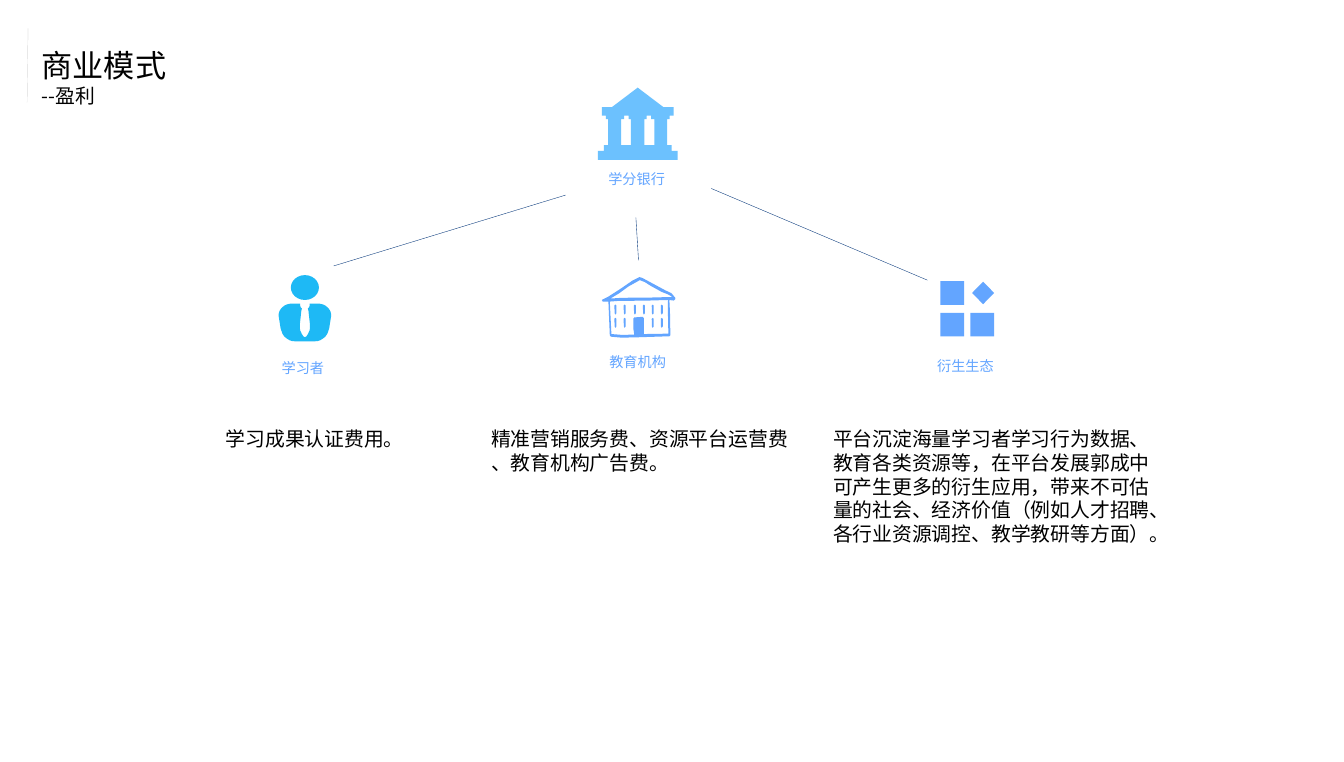
from dataclasses import dataclass

from lxml.etree import SubElement
from pptx import Presentation
from pptx.dml.color import RGBColor
from pptx.enum.shapes import MSO_CONNECTOR, MSO_SHAPE
from pptx.enum.text import MSO_AUTO_SIZE, PP_ALIGN
from pptx.oxml.ns import qn
from pptx.util import Cm, Pt


@dataclass(frozen=True)
class Theme:
    ink: str = "000000"
    label: str = "63A5FF"
    bank: str = "6CC1FE"
    learner: str = "1EB9F5"
    branch: str = "003378"
    rule: str = "BFBFBF"
    body_font: str = "Noto Sans CJK SC"
    label_font: str = "Arial"
    title_size: int = 44
    body_size: int = 28
    label_size: int = 20


THEME = Theme()

BANK_HALF = [(0, 0), (128, 97), (179, 97), (179, 140), (159, 140), (159, 157),
             (147, 157), (147, 287), (169, 287), (169, 315), (199, 315), (199, 361)]
BANK_GAP = [(34, 157), (45, 157), (45, 140), (67, 140),
            (67, 157), (83, 157), (83, 287), (34, 287)]
LEARNER_HALF = [(0, 168), (8, 163), (15, 152), (23, 135), (25, 124), (25, 102),
                (23, 84), (18, 38), (15, 25), (20, 20), (23, 13), (24, 0),
                (64, 0), (76, 1), (89, 4), (102, 10), (112, 18), (119, 25),
                (127, 38), (131, 53), (131, 61), (121, 124), (112, 150),
                (102, 165), (89, 175), (76, 183), (64, 187), (51, 188)]
SCHOOL_OUTLINE = [(190, 0), (203, 3), (320, 66), (350, 80), (370, 104), (368, 112),
                  (361, 117), (340, 114), (343, 175), (345, 290), (340, 295),
                  (185, 300), (102, 302), (48, 297), (43, 290), (36, 122),
                  (8, 122), (3, 114), (33, 99), (97, 58), (155, 18)]
SCHOOL_ROOF = [(193, 15), (137, 46), (89, 81), (46, 107), (91, 104), (170, 102),
               (244, 102), (356, 99), (333, 86), (302, 74), (246, 43), (218, 25)]
SCHOOL_WALL = [(333, 114), (234, 117), (81, 119), (43, 122), (51, 284), (102, 288),
               (165, 287), (160, 254), (160, 208), (165, 201), (208, 198),
               (213, 206), (213, 284), (335, 282), (333, 188)]
SCHOOL_WINDOWS = [(137, (71, 117, 168, 213, 257, 302)), (203, (71, 117, 257, 302))]


def paint(shape, color):
    shape.shadow.inherit = False
    shape.fill.solid()
    shape.fill.fore_color.rgb = RGBColor.from_string(color)
    shape.line.fill.background()


def mirror(points):
    return [(-x, y) for x, y in reversed(points)]


def window(center, top):
    return [(center - 5, top + 5), (center, top), (center + 5, top + 5),
            (center + 5, top + 43), (center, top + 50), (center - 4, top + 43)]


def add_outline(slide, left, top, contours, color):
    builder = slide.shapes.build_freeform(*contours[0][0], scale=Cm(0.01))
    builder.add_line_segments(contours[0][1:])
    for contour in contours[1:]:
        builder.move_to(*contour[0])
        builder.add_line_segments(contour[1:])
    paint(builder.convert_to_shape(Cm(left), Cm(top)), color)


def add_preset(slide, kind, left, top, width, height, color):
    paint(slide.shapes.add_shape(kind, Cm(left), Cm(top), Cm(width), Cm(height)), color)


def add_text(slide, left, top, width, height, lines, font, color,
             align=PP_ALIGN.LEFT, wrap=True):
    frame = slide.shapes.add_textbox(Cm(left), Cm(top), Cm(width), Cm(height)).text_frame
    frame.word_wrap = wrap
    frame.auto_size = MSO_AUTO_SIZE.SHAPE_TO_FIT_TEXT
    for index, (words, size) in enumerate(lines):
        paragraph = frame.add_paragraph() if index else frame.paragraphs[0]
        paragraph.alignment = align
        run = paragraph.add_run()
        run.text = words
        run.font.size = Pt(size)
        run.font.color.rgb = RGBColor.from_string(color)
        run.font.name = font
        if font == THEME.body_font:
            SubElement(run.font._element, qn("a:ea"), typeface=font)


def add_body(slide, left, width, height, lines, wrap):
    add_text(slide, left, 21.16, width, height,
             [(line, THEME.body_size) for line in lines],
             THEME.body_font, THEME.ink, wrap=wrap)


def add_label(slide, center, top, words):
    width = 4.4
    add_text(slide, center - width / 2, top, width, 1.12, [(words, THEME.label_size)],
             THEME.label_font, THEME.label, PP_ALIGN.CENTER)


def add_line(slide, start, end, color, weight):
    line = slide.shapes.add_connector(MSO_CONNECTOR.STRAIGHT,
                                      *(Cm(value) for value in start + end))
    line.line.color.rgb = RGBColor.from_string(color)
    line.line.width = Pt(weight)
    SubElement(line._element.spPr, qn("a:effectLst"))


def add_bank(slide):
    add_outline(slide, 31.79, 4.37,
                [BANK_HALF + mirror(BANK_HALF), BANK_GAP, mirror(BANK_GAP)], THEME.bank)


def add_learner(slide):
    add_outline(slide, 15.2, 15.14, [LEARNER_HALF + mirror(LEARNER_HALF)], THEME.learner)
    add_preset(slide, MSO_SHAPE.OVAL, 14.5, 13.72, 1.4, 1.24, THEME.learner)


def add_school(slide):
    windows = [window(center, top) for top, centers in SCHOOL_WINDOWS for center in centers]
    add_outline(slide, 29.97, 13.82,
                [SCHOOL_OUTLINE, SCHOOL_ROOF, SCHOOL_WALL, *windows], THEME.label)


def add_ecosystem(slide):
    for left, top in ((46.88, 14.02), (46.88, 15.6), (48.38, 15.6)):
        add_preset(slide, MSO_SHAPE.RECTANGLE, left, top, 1.18, 1.18, THEME.label)
    add_preset(slide, MSO_SHAPE.DIAMOND, 48.46, 14.05, 1.1, 1.12, THEME.label)


def main():
    deck = Presentation()
    deck.slide_width, deck.slide_height = Cm(67), Cm(38)
    slide = deck.slides.add_slide(deck.slide_layouts[6])

    add_line(slide, (1.4, 1.42), (1.35, 5.11), THEME.rule, 0.25)
    add_text(slide, 1.83, 2.18, 7.34, 4.52,
             [("商业模式", THEME.title_size), ("--盈利", THEME.body_size)],
             THEME.body_font, THEME.ink)

    for add_icon in (add_learner, add_bank, add_school, add_ecosystem):
        add_icon(slide)

    for center, top, words in ((15.1, 17.78, "学习者"), (31.74, 8.38, "学分银行"),
                               (31.79, 17.48, "教育机构"), (48.13, 17.68, "衍生生态")):
        add_label(slide, center, top, words)

    add_body(slide, 11, 9.4, 1.45, ["学习成果认证费用。"], False)
    add_body(slide, 24.23, 15.32, 2.64,
             ["精准营销服务费、资源平台运营费", "、教育机构广告费。"], False)
    add_body(slide, 41.28, 16.33, 6.25,
             ["平台沉淀海量学习者学习行为数据、教育各类资源等，在平台发展郭成中"
              "可产生更多的衍生应用，带来不可估量的社会、经济价值（例如人才招聘、"
              "各行业资源调控、教学教研等方面）。"], True)

    for start, end in (((28.19, 9.73), (16.64, 13.26)),
                       ((31.7, 10.85), (31.83, 12.98)),
                       ((35.46, 9.4), (46.23, 13.97))):
        add_line(slide, start, end, THEME.branch, 0.5)

    deck.save("out.pptx")


if __name__ == "__main__":
    main()
